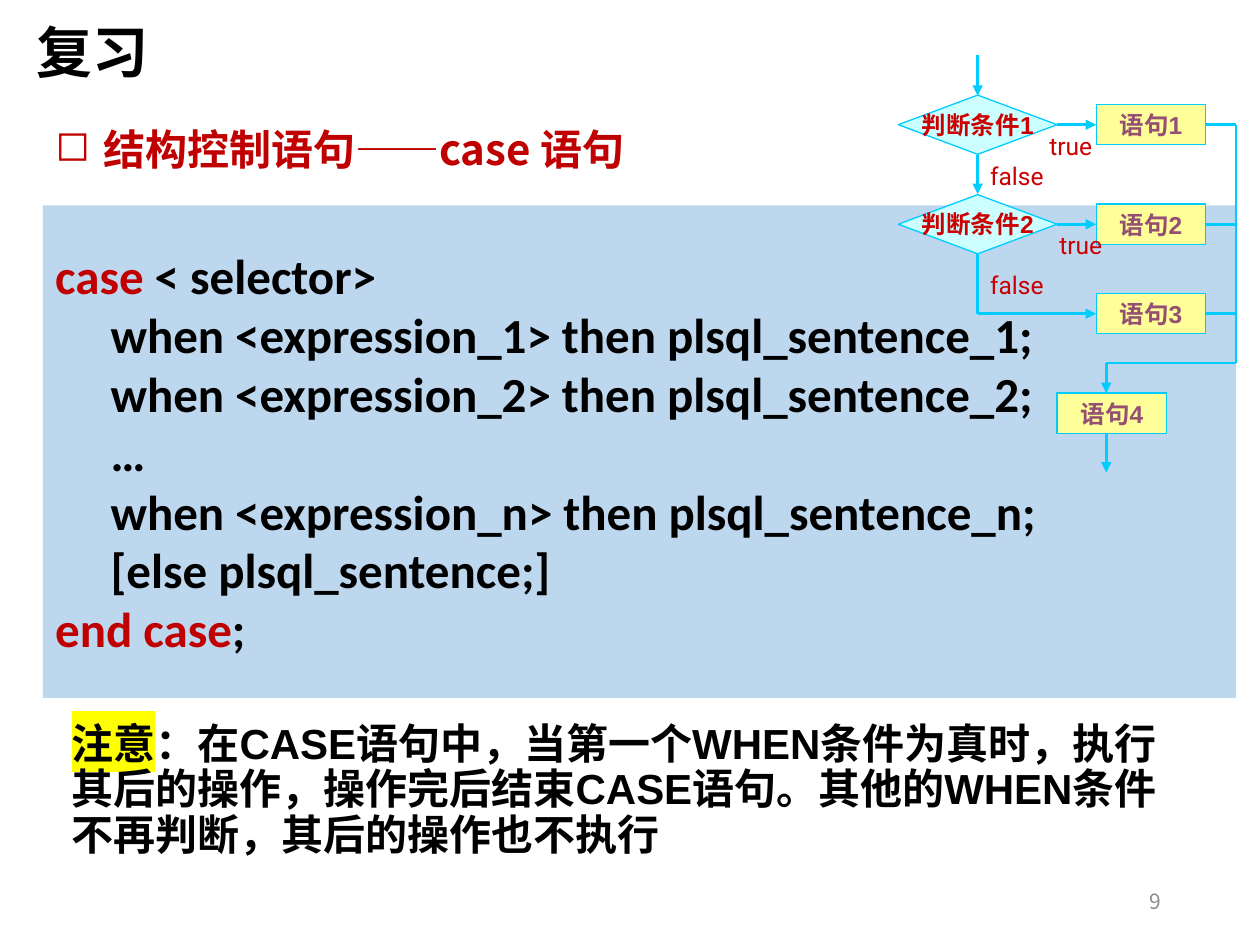
import lxml.etree
import pptx
import pptx.dml.color
import pptx.enum.shapes
import pptx.enum.text
import pptx.oxml.ns
import pptx.util

Inches, Pt = pptx.util.Inches, pptx.util.Pt
qn = pptx.oxml.ns.qn
Shape = pptx.enum.shapes.MSO_SHAPE
Align = pptx.enum.text.PP_ALIGN
Anchor = pptx.enum.text.MSO_ANCHOR
CJK = "Noto Sans CJK SC"
BLACK, RED, LABEL_RED, CYAN = "000000", "C00000", "CC0000", "00CCFF"


def paint(fill, color):
    fill.solid()
    fill.fore_color.rgb = pptx.dml.color.RGBColor.from_string(color)


def write(shape, text, size=24, font=CJK, color=BLACK, bold=True, align=Align.LEFT,
          anchor=Anchor.TOP, wrap=True, spacing=None, lead_color=None, highlight=None, bullet=None):
    frame = shape.text_frame
    frame.word_wrap = wrap
    frame.vertical_anchor = anchor
    for number, line in enumerate(text.split("\n")):
        paragraph = frame.add_paragraph() if number else frame.paragraphs[0]
        paragraph.alignment = align
        if spacing:
            paragraph.line_spacing = spacing
        if bullet:
            props = paragraph._p.get_or_add_pPr()
            props.set("marL", str(Inches(0.38)))
            props.set("indent", str(Inches(-0.38)))
            lxml.etree.SubElement(props, qn("a:buChar")).set("char", bullet)
        lead, bar, rest = line.rpartition("|")
        for part, shade, marker in ((lead, lead_color or color, highlight), (rest, color, None)):
            if not part:
                continue
            run = paragraph.add_run()
            run.text = part
            run.font.size = Pt(size)
            run.font.bold = bold
            run.font.name = font
            paint(run.font.fill, shade)
            latin = run._r.rPr.find(qn("a:latin"))
            asian = lxml.etree.Element(qn("a:ea"))
            asian.set("typeface", CJK)
            latin.addnext(asian)
            if marker:
                mark = lxml.etree.Element(qn("a:highlight"))
                lxml.etree.SubElement(mark, qn("a:srgbClr")).set("val", marker)
                latin.addprevious(mark)


deck = pptx.Presentation()
deck.slide_width, deck.slide_height = Inches(10), Inches(7.5)
slide = deck.slides.add_slide(deck.slide_layouts[6])
shapes = slide.shapes

code = """case| < selector>
     when <expression_1> then plsql_sentence_1;
     when <expression_2> then plsql_sentence_2;
     …
     when <expression_n> then plsql_sentence_n;
     [else plsql_sentence;]
end case|;"""
code_panel = shapes.add_shape(Shape.RECTANGLE, Inches(0.34), Inches(1.63), Inches(9.47), Inches(3.91))
code_panel.shadow.inherit = False
paint(code_panel.fill, "BDD7EE")
code_panel.line.fill.background()
write(code_panel, code, size=28, font="Calibri", lead_color=RED, anchor=Anchor.MIDDLE)

stem, exit_x, rail, merge_y = 7.76, 8.78, 9.81, 2.88
rows = [0.99, 1.78, 2.49]
flow = [
    (stem, 0.44, stem, 0.76, True),
    (stem, 1.23, stem, 1.54, True),
    (stem, 2.02, stem, rows[2], False),
    (stem, rows[2], 8.7, rows[2], True),
    (rail, rows[0], rail, merge_y, False),
    (exit_x, merge_y, rail, merge_y, False),
    (exit_x, merge_y, exit_x, 3.12, True),
    (exit_x, 3.43, exit_x, 3.75, True),
]
flow += [(8.39, y, 8.7, y, True) for y in rows[:2]]
flow += [(9.57, y, rail, y, False) for y in rows]
for x1, y1, x2, y2, arrow in flow:
    link = shapes.add_connector(pptx.enum.shapes.MSO_CONNECTOR.STRAIGHT,
                                Inches(x1), Inches(y1), Inches(x2), Inches(y2))
    paint(link.line.fill, CYAN)
    link.line.width = Pt(1.5)
    if arrow:
        lxml.etree.SubElement(link.line._get_or_add_ln(), qn("a:tailEnd")).set("type", "triangle")
    lxml.etree.SubElement(link._element.spPr, qn("a:effectLst"))

conditions = [(Shape.FLOWCHART_DECISION, f"判断条件{n}", 7.13, y, 1.26, 0.47, "CCFFFF", LABEL_RED)
              for n, y in enumerate(rows[:2], 1)]
statements = [(Shape.RECTANGLE, f"语句{n}", x, y, 0.87, 0.32, "FFFF99", "954F72")
              for n, (x, y) in enumerate([(8.7, y) for y in rows] + [(8.39, 3.28)], 1)]
for kind, caption, x, middle, width, height, fill, color in conditions + statements:
    step = shapes.add_shape(kind, Inches(x), Inches(middle - height / 2), Inches(width), Inches(height))
    step.shadow.inherit = False
    paint(step.fill, fill)
    paint(step.line.fill, CYAN)
    step.line.width = Pt(0.75)
    write(step, caption, size=14, font="Arial", color=color, align=Align.CENTER,
          anchor=Anchor.MIDDLE, wrap=False)

branch = dict(size=14, font="Roboto", color=LABEL_RED, bold=False, wrap=False)
note = ("注意|：在CASE语句中，当第一个WHEN条件为真时，执行其后的操作，操作完后结束CASE语句。"
        "其他的WHEN条件不再判断，其后的操作也不执行")
texts = [
    ("true", 8.23, 0.99, 0.57, 0.33, branch),
    ("false", stem, 1.23, 0.64, 0.33, branch),
    ("true", 8.31, 1.78, 0.57, 0.33, branch),
    ("false", stem, 2.09, 0.64, 0.33, branch),
    ("复习", 0.19, 0.09, 1.1, 0.64, dict(size=32, wrap=False)),
    ("结构控制语句——case 语句", 0.34, 0.93, 9.32, 0.91, dict(color=RED, bullet="◻")),
    (note, 0.47, 5.69, 8.97, 1.2, dict(font="Arial", spacing=0.9, highlight="FFFF00")),
    ("9", 7.06, 6.95, 2.25, 0.4,
     dict(size=12, color="8C8C8C", bold=False, align=Align.RIGHT, anchor=Anchor.MIDDLE)),
]
for text, x, y, width, height, style in texts:
    box = shapes.add_textbox(Inches(x), Inches(y), Inches(width), Inches(height))
    write(box, text, **style)

deck.save("out.pptx")
